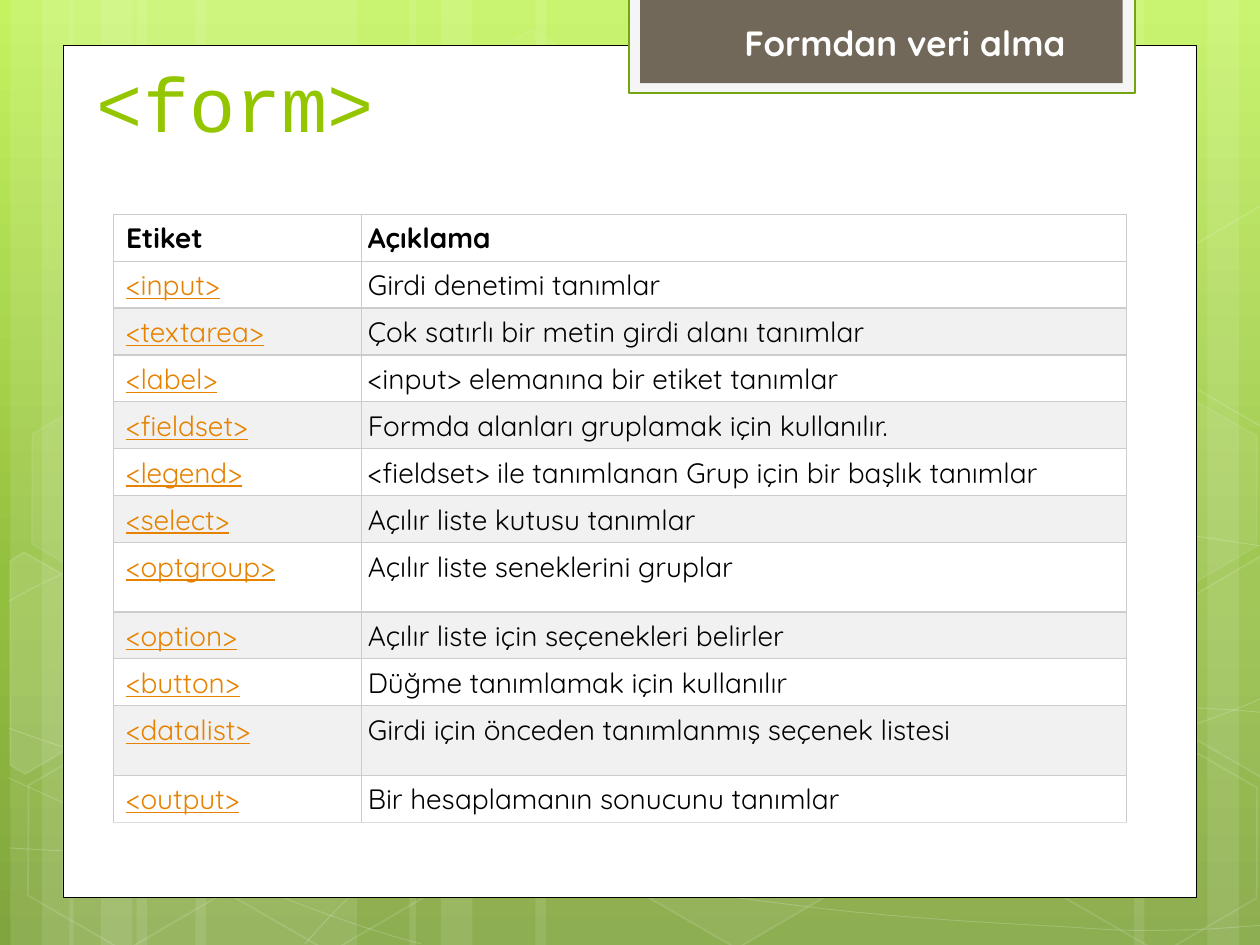
import math
from pptx import Presentation
from pptx import util as u
from pptx.dml.color import RGBColor
from pptx.enum import shapes, text
from pptx.oxml import parse_xml
from pptx.oxml.ns import nsdecls, qn

WIDTH, HEIGHT = 10, 7.5
BODY_FONT, CODE_FONT = "Quicksand", "Courier New"
HEX_SIZE = (1.75, 1.52)
TILT = 30

# Light bands: (left, width) in twelfths of an inch
BANDS = [(13, 21), (1, 6), (4, 10), (18.6, 21), (6.6, 6), (9.6, 10),
         (88, 21), (115, 6), (108, 10), (51, 37), (39, 6), (42, 10)]

# Bezier curves: a start point, then three points for every stretch
CURVES = [
    [(0.07, 6.73), (0.61, 6.76), (1.15, 6.79), (1.9, 6.78), (2.65, 6.77), (3.58, 6.75), (4.58, 6.65),
     (5.58, 6.55), (7, 6.36), (7.92, 6.17), (8.83, 5.98), (9.77, 5.68), (10.07, 5.51)],
    [(0.07, 4.77), (0.36, 4.61), (0.65, 4.46), (1.21, 4.31), (1.78, 4.16), (2.59, 3.94), (3.47, 3.87),
     (4.36, 3.8), (5.44, 3.79), (6.54, 3.87), (7.64, 3.95), (9.47, 4.26), (10.07, 4.34)],
    [(0.06, 6.17), (1.27, 6.72), (2.47, 7.27), (3.34, 7.49)],
    [(0.07, 5.78), (0.38, 5.89), (0.7, 6), (1.28, 6.16), (1.86, 6.31), (2.73, 6.56), (3.57, 6.73),
     (4.4, 6.9), (5.45, 7.08), (6.28, 7.18), (7.11, 7.29), (8, 7.33), (8.53, 7.36),
     (9.05, 7.4), (9.19, 7.38), (9.45, 7.38), (9.71, 7.37), (9.89, 7.35), (10.07, 7.34)],
    [(2.42, 7.49), (2.6, 7.29), (2.78, 7.09), (3.02, 6.91), (3.26, 6.73), (3.6, 6.53), (3.88, 6.39),
     (4.16, 6.25), (4.33, 6.19), (4.7, 6.09), (5.06, 5.99), (5.73, 5.85), (6.08, 5.78),
     (6.44, 5.71), (6.49, 5.71), (6.8, 5.69), (7.11, 5.66), (7.6, 5.63), (7.94, 5.62),
     (8.29, 5.61), (8.86, 5.62), (8.86, 5.62), (8.86, 5.62), (9.53, 5.62), (9.53, 5.62),
     (9.71, 5.63), (9.88, 5.64), (9.97, 5.65), (10.06, 5.66), (10.03, 5.65), (10.06, 5.66)],
]

# Hexagons: left, top, fill opacity, line opacity (percent)
HEXAGONS = [(3.34, 0.36, 4, 8), (4.97, 5.89, 6, 12), (0.11, 5.91, 0, 12),
            (0.14, 3.12, 7, 8), (1.74, 5.92, 0, 12), (7.53, 4.53, 10, 12),
            (8.34, 5.93, 0, 12), (8.34, 3.14, 7, 8)]

# Hexagons cut by the slide's edge: centre, fill opacity, corners
CUT_HEXAGONS = [
    ((0.36, 5.35), 10, [(0.08, 4.45), (0.19, 4.38), (0.96, 4.82), (0.95, 5.7), (0.2, 6.14), (0.08, 6.07)]),
    ((9.85, 5.2), 4, [(9.26, 4.85), (10.01, 4.41), (10.09, 4.46), (10.09, 6.13), (10.02, 6.17), (9.26, 5.73)]),
    ((9.85, 2.41), 0, [(9.26, 2.07), (10.01, 1.63), (10.1, 1.68), (10.09, 3.35), (10.02, 3.39), (9.26, 2.95)]),
]

TAGS = [
    ("Etiket", "Açıklama"),
    ("<input>", "Girdi denetimi tanımlar"),
    ("<textarea>", "Çok satırlı bir metin girdi alanı tanımlar"),
    ("<label>", "<input> elemanına bir etiket tanımlar"),
    ("<fieldset>", "Formda alanları gruplamak için kullanılır."),
    ("<legend>", "<fieldset> ile tanımlanan Grup için bir başlık tanımlar"),
    ("<select>", "Açılır liste kutusu tanımlar"),
    ("<optgroup>", "Açılır liste seneklerini gruplar"),
    ("<option>", "Açılır liste için seçenekleri belirler"),
    ("<button>", "Düğme tanımlamak için kullanılır"),
    ("<datalist>", "Girdi için önceden tanımlanmış seçenek listesi"),
    ("<output>", "Bir hesaplamanın sonucunu tanımlar"),
]
TALL_ROWS = ("<optgroup>", "<datalist>")


def colour(code):
    return RGBColor.from_string(code)


def fade(holder, opacity):
    """Make the solid colour in a fill or line element see-through."""
    if opacity < 100:
        shade = holder.find(qn("a:solidFill")).find(qn("a:srgbClr"))
        shade.append(parse_xml(f'<a:alpha {nsdecls("a")} val="{opacity * 1000}"/>'))


def style(shape, fill=None, opacity=100, line=None, weight=1, line_opacity=100):
    shape.shadow.inherit = False
    if fill and opacity:
        shape.fill.solid()
        shape.fill.fore_color.rgb = colour(fill)
        fade(shape.element.spPr, opacity)
    else:
        shape.fill.background()
    if line:
        shape.line.color.rgb = colour(line)
        shape.line.width = u.Pt(weight)
        fade(shape.element.spPr.find(qn("a:ln")), line_opacity)
    else:
        shape.line.fill.background()


def add_preset(page, kind, left, top, width, height, **look):
    shape = page.shapes.add_shape(kind, *map(u.Inches, (left, top, width, height)))
    style(shape, **look)
    return shape


def add_outline(page, points, close, **look):
    spots = [(u.Inches(x), u.Inches(y)) for x, y in points]
    builder = page.shapes.build_freeform(*spots[0])
    builder.add_line_segments(spots[1:], close=close)
    shape = builder.convert_to_shape()
    style(shape, **look)
    return shape


def bend(shape):
    """Turn every three straight segments into one cubic curve."""
    lines = list(shape.element.spPr.iter(qn("a:lnTo")))
    for first in range(0, len(lines), 3):
        curve = parse_xml(f'<a:cubicBezTo {nsdecls("a")}/>')
        lines[first].addprevious(curve)
        for line in lines[first:first + 3]:
            curve.append(line[0])
            line.getparent().remove(line)


def turn(points, centre, degrees):
    cos, sin = math.cos(math.radians(degrees)), math.sin(math.radians(degrees))
    cx, cy = centre
    return [(cx + (x - cx) * cos - (y - cy) * sin, cy + (x - cx) * sin + (y - cy) * cos)
            for x, y in points]


def add_span(para, words, size, code, font=BODY_FONT, bold=False, underline=False):
    span = para.add_run()
    span.text = words
    span.font.size, span.font.name = u.Pt(size), font
    span.font.bold, span.font.underline = bold, underline
    span.font.color.rgb = colour(code)


def add_text(page, left, top, width, height, words, wrap, **look):
    box = page.shapes.add_textbox(*map(u.Inches, (left, top, width, height)))
    box.text_frame.word_wrap = wrap
    add_span(box.text_frame.paragraphs[0], words, **look)
    return box.text_frame


def add_border(cell, side, code):
    cell._tc.get_or_add_tcPr().append(parse_xml(
        f'<a:{side} {nsdecls("a")} w="9525"><a:solidFill><a:srgbClr val="{code}"/>'
        f'</a:solidFill></a:{side}>'))


def add_tag_table(page):
    table = page.shapes.add_table(len(TAGS), 2, *map(u.Inches, (0.9, 1.7, 8.04, 4.5))).table
    table.first_row = table.horz_banding = False
    for column, width in zip(table.columns, (1.97, 6.07)):
        column.width = u.Inches(width)
    for r, entry in enumerate(TAGS):
        table.rows[r].height = u.Inches(0.55 if entry[0] in TALL_ROWS else 0.34)
        for c, words in enumerate(entry):
            cell, is_link = table.cell(r, c), r > 0 and c == 0
            cell.margin_left = u.Inches((0.1, 0.05)[c])
            cell.margin_right = cell.margin_top = cell.margin_bottom = u.Pt(3.8)
            for side in ("lnL", "lnR", "lnT", "lnB"):
                is_last = side == "lnB" and r == len(TAGS) - 1
                add_border(cell, side, "DDDDDD" if is_last else "CCCCCC")
            cell.fill.solid()
            cell.fill.fore_color.rgb = colour("F1F1F1" if r and r % 2 == 0 else "FFFFFF")
            add_span(cell.text_frame.paragraphs[0], words, 16, "E68200" if is_link else "000000",
                     bold=r == 0, underline=is_link)


def add_background(page):
    fill = page.background.fill
    fill.gradient()
    fill.gradient_angle = 270
    stops = page.background._cSld.find(".//" + qn("a:gsLst"))
    for stop in list(stops):
        stops.remove(stop)
    for place, code in ((0, "C3F35F"), (62, "93BF3F"), (100, "81A53E")):
        stops.append(parse_xml(f'<a:gs {nsdecls("a")} pos="{place * 1000}">'
                               f'<a:srgbClr val="{code}"/></a:gs>'))


def add_decoration(page):
    for left, width in BANDS:
        add_preset(page, shapes.MSO_SHAPE.RECTANGLE, left / 12, 0, width / 12, HEIGHT,
                   fill="FFFFFF", opacity=10)
    for points in CURVES:
        bend(add_outline(page, points, False, line="FFFFFF", weight=0.5, line_opacity=20))
    for left, top, opacity, line_opacity in HEXAGONS:
        shape = add_preset(page, shapes.MSO_SHAPE.HEXAGON, left, top, *HEX_SIZE, fill="FFFFFF",
                           opacity=opacity, line="FFFFFF", line_opacity=line_opacity)
        shape.adjustments[0] = 0.285
        shape.rotation = TILT
    for centre, opacity, corners in CUT_HEXAGONS:
        shape = add_outline(page, turn(corners, centre, -TILT), True, fill="FFFFFF",
                            opacity=opacity, line="FFFFFF", line_opacity=12)
        shape.rotation = TILT


def main():
    deck = Presentation()
    deck.slide_width, deck.slide_height = u.Inches(WIDTH), u.Inches(HEIGHT)
    page = deck.slides.add_slide(deck.slide_layouts[6])
    add_background(page)
    add_decoration(page)

    # White sheet and the label at its top
    box = shapes.MSO_SHAPE.RECTANGLE
    add_preset(page, box, 0.5, 0.36, 9, 6.76, fill="FFFFFF", line="000000", weight=0.5)
    add_preset(page, box, 4.99, -0.02, 4.02, 0.76, fill="F5F5F5", line="74A510", weight=1.25)
    add_preset(page, box, 5.08, -0.02, 3.83, 0.68, fill="71685A")

    # Title, table and label text
    title = add_text(page, 0.67, 0.35, 7.68, 0.87, "<form>", True,
                     size=44, code="94C600", font=CODE_FONT)
    title.vertical_anchor = text.MSO_ANCHOR.BOTTOM
    add_tag_table(page)
    label = add_text(page, 5.81, 0.12, 2.76, 0.44, "Formdan veri alma", False,
                     size=20, code="FFFFFF", bold=True)
    label.auto_size = text.MSO_AUTO_SIZE.SHAPE_TO_FIT_TEXT

    deck.save("out.pptx")


if __name__ == "__main__":
    main()
